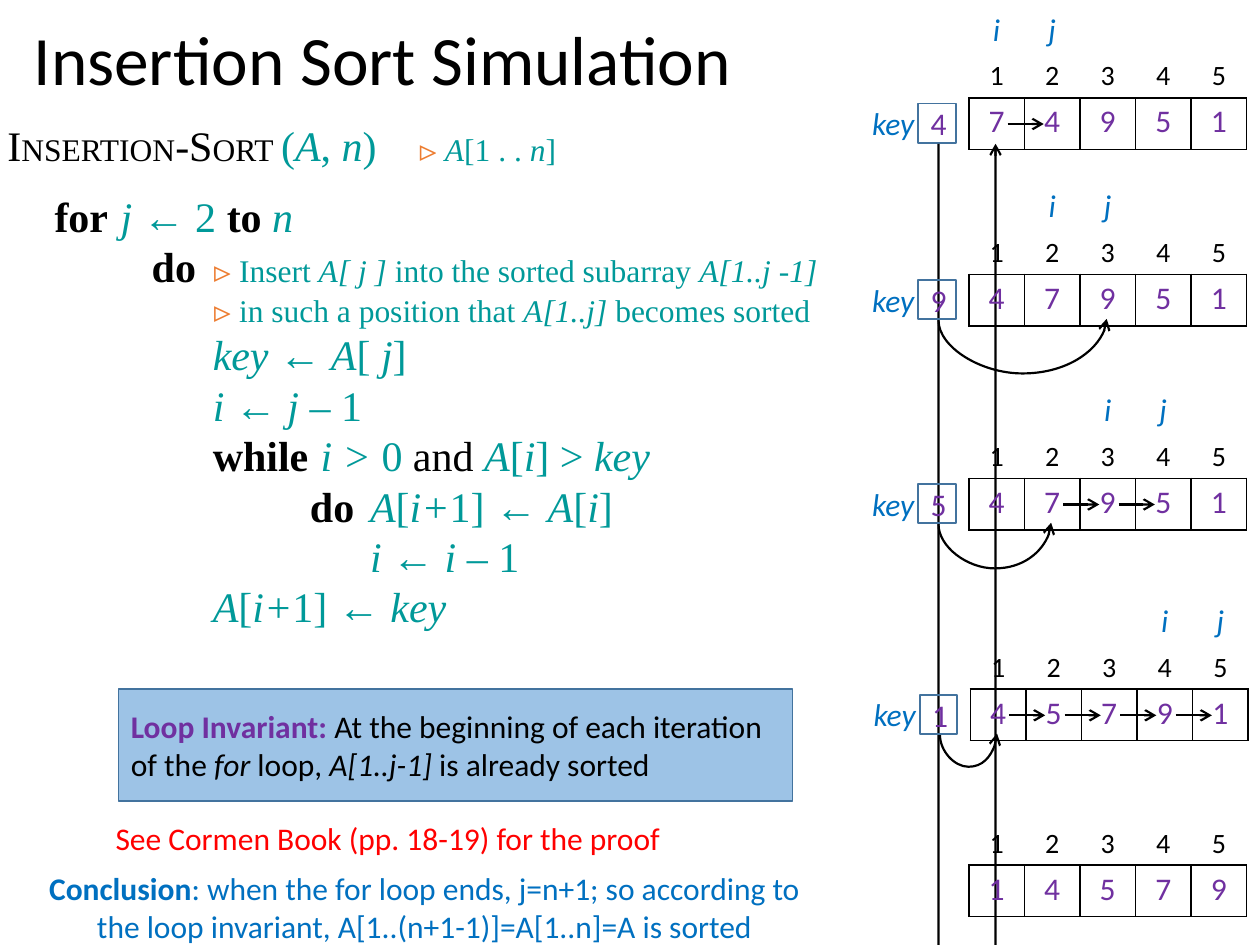
from dataclasses import dataclass
from lxml import etree
from pptx import Presentation, util as u
from pptx.dml.color import RGBColor
from pptx.enum import shapes, text
from pptx.oxml.ns import qn

Cm, Pt = u.Cm, u.Pt


@dataclass(frozen=True)
class Theme:
    sans: str = "Calibri"
    serif: str = "Times New Roman"
    black: str = "000000"
    teal: str = "009999"
    orange: str = "ED7D31"
    blue: str = "0070C0"
    purple: str = "7030A0"
    red: str = "FF0000"
    edge: str = "43739E"
    pale: str = "9DC3E6"
    head: float = 39.6
    code: int = 24
    body: int = 18
    index: int = 16


T = Theme()
STYLES = {
    "k": (T.code, T.black, ""), "K": (T.code, T.black, "b"),
    "t": (T.code, T.teal, ""), "T": (T.code, T.teal, "i"),
    "z": (T.body, T.black, ""), "o": (T.body, T.orange, ""),
    "s": (T.body, T.teal, ""), "S": (T.body, T.teal, "i"),
}
COL, ROWS = 1.12, (0.84, 0.64, 1.04)
STOPS = (0.95, 2.91, 4.14, 6.1, 7.31)
LEFT, MID = text.PP_ALIGN.LEFT, text.PP_ALIGN.CENTER
PLAIN = "{2D5ABB26-0587-4C30-8999-92F81FD0307C}"


def rgb(tone):
    return RGBColor.from_string(tone)


def put(par, words, size, tone, look="", face=T.sans):
    run = par.add_run()
    run.text = words
    font = run.font
    font.size, font.name = Pt(size), face
    font.color.rgb = rgb(tone)
    font.bold, font.italic = "b" in look, "i" in look


def note(page, box, runs, align=LEFT, anchor=text.MSO_ANCHOR.TOP, wrap=True):
    frame = page.shapes.add_textbox(*map(Cm, box)).text_frame
    frame.word_wrap, frame.vertical_anchor = wrap, anchor
    par = frame.paragraphs[0]
    par.alignment = align
    for run in runs:
        put(par, *run)
    return par


def panel(page, box, runs, align, fill=None):
    shape = page.shapes.add_shape(shapes.MSO_SHAPE.RECTANGLE, *map(Cm, box))
    shape.shadow.inherit = False
    if fill:
        shape.fill.solid()
        shape.fill.fore_color.rgb = rgb(fill)
    else:
        shape.fill.background()
    shape.line.color.rgb, shape.line.width = rgb(T.edge), Pt(1)
    shape.text_frame.vertical_anchor = text.MSO_ANCHOR.MIDDLE
    par = shape.text_frame.paragraphs[0]
    par.alignment = align
    for run in runs:
        put(par, *run)


def arrow(page, kind, x1, y1, x2, y2):
    link = page.shapes.add_connector(kind, Cm(x1), Cm(y1), Cm(x2), Cm(y2))
    link.line.color.rgb, link.line.width = rgb(T.black), Pt(1.25)
    etree.SubElement(link.line._get_or_add_ln(), qn("a:tailEnd"), type="arrow")
    etree.SubElement(link._element.spPr, qn("a:effectLst"))
    return link


def curve(page, x, y, span, depth, rise):
    link = arrow(page, shapes.MSO_CONNECTOR.CURVE, x, y, x + span, y)
    thick = max(1, Cm(rise))
    link.width, link.height = thick, Cm(span)
    link.left = Cm(x + span / 2) - thick // 2
    link.top = Cm(y - rise / 2 - span / 2)
    props = link._element.spPr
    for key, val in (("rot", "5400000"), ("flipH", "1"), ("flipV", "1")):
        props.find(qn("a:xfrm")).set(key, val)
    geom = props.find(qn("a:prstGeom"))
    ratio = round(-Cm(depth) / thick * 100000)
    etree.SubElement(geom.find(qn("a:avLst")), qn("a:gd"),
                     name="adj1", fmla=f"val {ratio}")


def edge(cell, sides):
    props = cell._tc.get_or_add_tcPr()
    for spot, side in enumerate(sides):
        line = etree.Element(qn("a:ln" + side), w=str(Pt(1)))
        fill = etree.SubElement(line, qn("a:solidFill"))
        etree.SubElement(fill, qn("a:srgbClr"), val=T.black)
        props.insert(spot, line)


def array(page, x, y, vals, marks=None):
    rows = [(range(1, 6), T.index, T.black, "", "B"),
            (vals, T.body, T.purple, "", "LRTB")]
    if marks:
        rows.insert(0, (marks, T.body, T.blue, "i", ""))
    highs = ROWS[-len(rows):]
    table = page.shapes.add_table(len(rows), 5, Cm(x), Cm(y),
                                  Cm(5 * COL), Cm(sum(highs))).table
    table.first_row = table.horz_banding = False
    table._tbl.tblPr.find(qn("a:tableStyleId")).text = PLAIN
    for col in table.columns:
        col.width = Cm(COL)
    for r, (items, size, tone, look, sides) in enumerate(rows):
        table.rows[r].height = Cm(highs[r])
        for c, item in enumerate(items):
            cell = table.cell(r, c)
            cell.margin_left = cell.margin_right = Cm(0.1)
            cell.margin_top = cell.margin_bottom = Cm(0.1)
            cell.fill.background()
            if r < len(rows) - 1:
                cell.vertical_anchor = text.MSO_ANCHOR.BOTTOM
            edge(cell, sides)
            if item != " ":
                par = cell.text_frame.paragraphs[0]
                par.alignment = MID
                put(par, str(item), size, tone, look)


def step(page, x, y, vals, i, key, moves, goal, depth, rise):
    array(page, x, y, vals, (" " * i + "ij").ljust(5))
    panel(page, (x - 1.02, y + 1.96, 0.76, 0.79),
          [(key, T.body, T.purple)], MID)
    note(page, (x - 2.2, y + 1.84, 1.37, 1.02),
         [("key", T.body, T.blue, "i")],
         anchor=text.MSO_ANCHOR.MIDDLE, wrap=False)
    if goal is not None:
        curve(page, x - 0.61, y + 2.77, goal * COL + 1.15, depth, rise)
    for slot in moves:
        left = x + slot * COL + 0.78
        arrow(page, shapes.MSO_CONNECTOR.STRAIGHT,
              left, y + 2.37, left + 0.73, y + 2.37)


def code(page, box, lines):
    frame = page.shapes.add_textbox(*map(Cm, box)).text_frame
    frame.word_wrap = True
    for n, runs in enumerate(lines):
        par = frame.add_paragraph() if n else frame.paragraphs[0]
        if n == 1:
            par.space_before = Pt(11.5)
        tabs = etree.SubElement(par._p.get_or_add_pPr(), qn("a:tabLst"))
        for stop in (0.95, 2.07) if n == 1 else STOPS:
            etree.SubElement(tabs, qn("a:tab"), pos=str(Cm(stop)), algn="l")
        for style, words in runs:
            put(par, words, *STYLES[style], T.serif)


LINES = [
    [("k", "I"), ("z", "NSERTION"), ("k", "-S"), ("z", "ORT "), ("t", "("),
     ("T", "A"), ("t", ", "), ("T", "n"), ("t", ")    "), ("o", "\u22b3 "),
     ("S", "A"), ("s", "[1 . . "), ("S", "n"), ("s", "]")],
    [("K", "\tfor\t "), ("T", "j "), ("t", "← 2 "), ("K", "to "), ("T", "n")],
    [("K", "\t\tdo\t"), ("o", "\u22b3 "), ("s", "Insert "), ("S", "A[ j ] "),
     ("s", "into the sorted subarray "), ("S", "A[1..j -1] ")],
    [("o", "\t\t\t\u22b3 "), ("s", "in such a position that "),
     ("S", "A[1..j] "), ("s", "becomes sorted")],
    [("T", "\t\t\tkey ← A"), ("t", "[ "), ("T", "j"), ("t", "]")],
    [("T", "\t\t\ti ← j – "), ("t", "1")],
    [("K", "\t\t\twhile\t "), ("T", "i > "), ("t", "0"), ("k", " and "),
     ("T", "A"), ("t", "["), ("T", "i"), ("t", "] > "), ("T", "key")],
    [("K", "\t\t\t\tdo\t"), ("T", "A"), ("t", "["), ("T", "i+"),
     ("t", "1] ← "), ("T", "A"), ("t", "["), ("T", "i"), ("t", "]")],
    [("T", "\t\t\t\t\ti ← i – "), ("t", "1")],
    [("T", "\t\t\tA"), ("t", "["), ("T", "i+"), ("t", "1] ← "), ("T", "key")],
]
STEPS = [
    (19.53, 0.13, "74951", 0, "4", [0], 0, 0.64, 0),
    (19.53, 3.69, "47951", 1, "9", [], 2, 1.07, 0.03),
    (19.53, 7.8, "47951", 2, "5", [1, 2], 1, 0.89, 0.03),
    (19.56, 12.05, "45791", 3, "1", [0, 1, 2, 3], 0, 0.64, 0.03),
]

deck = Presentation()
deck.slide_width, deck.slide_height = Cm(25.4), Cm(19.05)
page = deck.slides.add_slide(deck.slide_layouts[6])
title = note(page, (0.43, 0.33, 24.43, 1.88),
             [("Insertion Sort Simulation", T.head, T.black)],
             anchor=text.MSO_ANCHOR.MIDDLE)
title.line_spacing = 0.9
code(page, (-0.1, 2.29, 17.12, 10.69), LINES)
for row in STEPS:
    step(page, *row)
array(page, 19.53, 16.56, "14579")
panel(page, (2.39, 13.89, 13.59, 2.26), [
    ("Loop Invariant: ", T.body, T.purple, "b"),
    ("At the beginning of each iteration of the ", T.body, T.black),
    ("for", T.body, T.black, "i"), (" loop, ", T.body, T.black),
    ("A[1..j-1] ", T.body, T.black, "i"),
    ("is already sorted", T.body, T.black)], LEFT, T.pale)
note(page, (2.08, 16.38, 14.94, 1.02),
     [("See Cormen Book (pp. 18-19) for the proof", T.body, T.red)])
note(page, (0.43, 17.4, 16.26, 1.8), [
    ("Conclusion", T.body, T.blue, "b"),
    (": when the for loop ends, j=n+1; so according to the loop invariant, "
     "A[1..(n+1-1)]=A[1..n]=A is sorted", T.body, T.blue)], MID)
deck.save("out.pptx")
